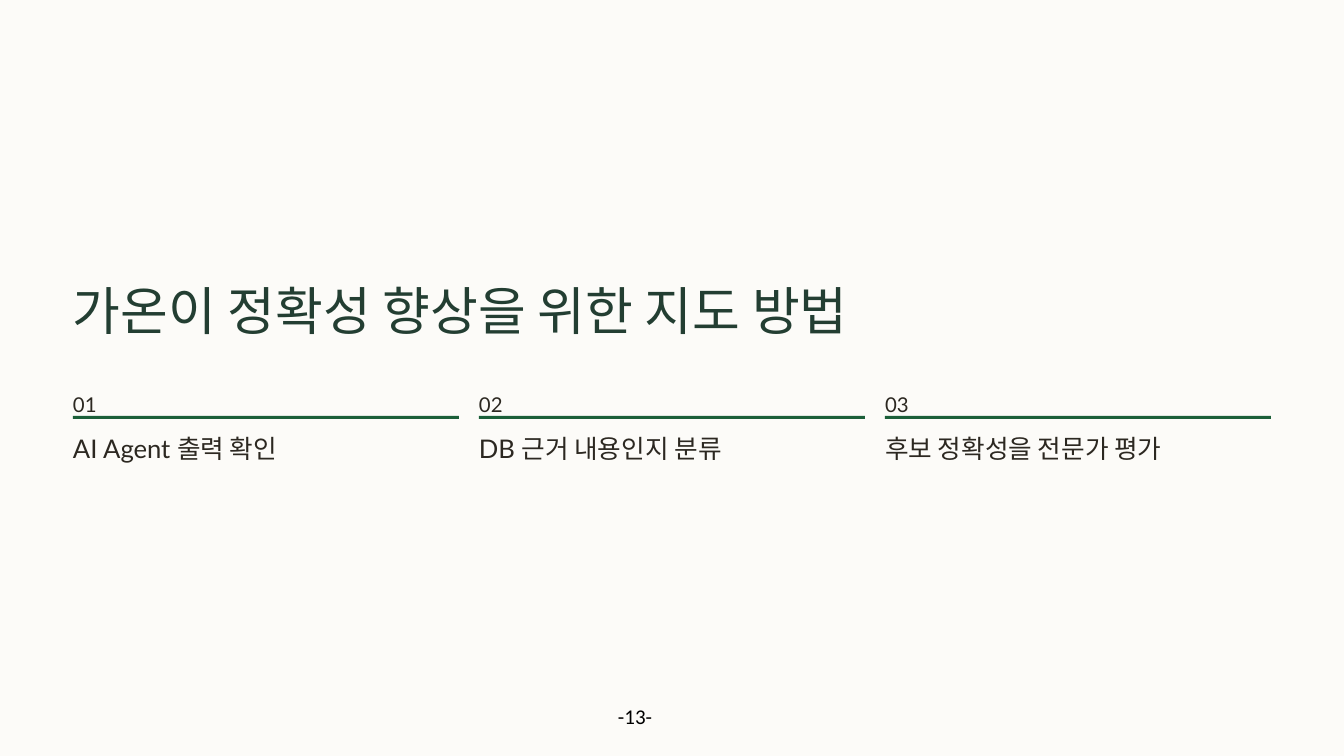
from pptx import Presentation
from pptx.dml.color import RGBColor
from pptx.enum.shapes import MSO_SHAPE as Shape
from pptx.enum.text import MSO_ANCHOR as Anchor, MSO_AUTO_SIZE as AutoSize, PP_ALIGN as Align
from pptx.oxml.ns import qn
from pptx.util import Emu, Pt

PX_PER_INCH = 84
KOREAN_FONT = "Noto Sans CJK KR"
PAPER, TITLE_GREEN, RULE_GREEN, INK = "FCFBF8", "233E32", "1B5F39", "2C2821"
COLUMN_LEFT, COLUMN_PITCH, RULE_WIDTH = 73, 406, 386
STEPS = [
    ("AI Agent 출력 확인", 260),
    ("DB 근거 내용인지 분류", 260),
    ("후보 정확성을 전문가 평가", 281),
]


def px(length):
    return Emu(round(length * 914400 / PX_PER_INCH))


def color(value):
    return RGBColor.from_string(value)


def write(frame, text, size, font, ink, line=None, inset=(0, 0)):
    frame.auto_size = AutoSize.NONE
    frame.word_wrap = False
    frame.vertical_anchor = Anchor.TOP
    frame.margin_left = frame.margin_right = px(inset[0])
    frame.margin_top = frame.margin_bottom = px(inset[1])
    paragraph = frame.paragraphs[0]
    paragraph.alignment = Align.LEFT
    if line:
        paragraph.line_spacing = Pt(line)
    run = paragraph.add_run()
    run.text = text
    run.font.size = Pt(size)
    run.font.name = font
    run.font.color.rgb = color(ink)
    east_asian = run.font._element.makeelement(qn("a:ea"), {"typeface": KOREAN_FONT})
    run.font._element.find(qn("a:latin")).addnext(east_asian)


def add_label(slide, box, *style, **spacing):
    label = slide.shapes.add_textbox(*map(px, box))
    write(label.text_frame, *style, **spacing)


def add_title(slide, text):
    title = slide.shapes.title
    title.left, title.top, title.width, title.height = map(px, (COLUMN_LEFT, 276, 777, 66))
    write(title.text_frame, text, 44.5, KOREAN_FONT, TITLE_GREEN, line=55.5)


def add_rule(slide, left):
    rule = slide.shapes.add_shape(Shape.RECTANGLE, *map(px, (left, 416, RULE_WIDTH, 3)))
    rule.shadow.inherit = False
    rule.fill.solid()
    rule.fill.fore_color.rgb = color(RULE_GREEN)
    rule.line.fill.background()


def add_step(slide, index, text, width):
    left = COLUMN_LEFT + index * COLUMN_PITCH
    add_label(slide, (left, 383, 21, 26), f"{index + 1:02}", 17.5, "Lato", INK, line=28.5)
    add_rule(slide, left)
    add_label(slide, (left, 432, width, 33), text, 22, "Lato", INK, line=27.5)


def main():
    deck = Presentation()
    deck.slide_width, deck.slide_height = px(1344), px(756)
    slide = deck.slides.add_slide(deck.slide_layouts[5])
    slide.background.fill.solid()
    slide.background.fill.fore_color.rgb = color(PAPER)
    add_title(slide, "가온이 정확성 향상을 위한 지도 방법")
    for index, (text, width) in enumerate(STEPS):
        add_step(slide, index, text, width)
    add_label(slide, (610, 700, 118, 34), "-13-", 18, "Calibri", "000000", inset=(8, 4))
    deck.save("out.pptx")


if __name__ == "__main__":
    main()
